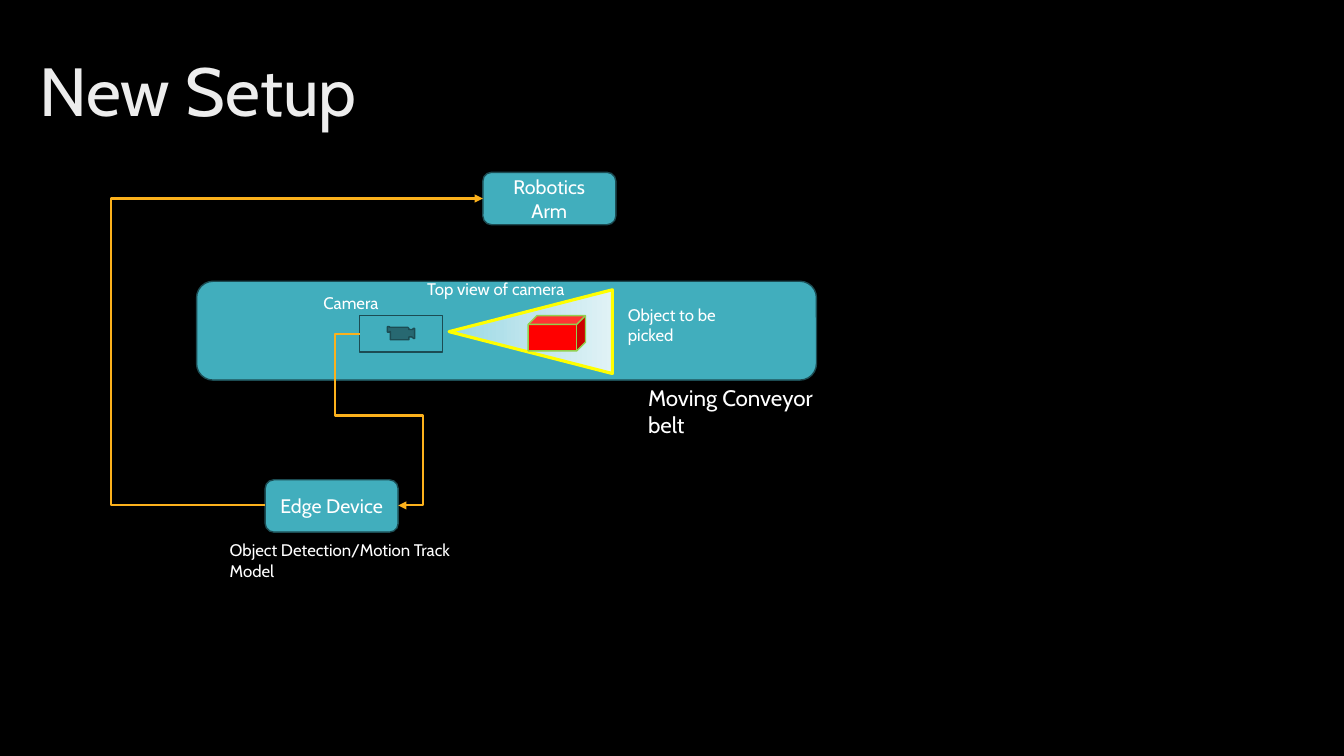
from pptx import Presentation
from pptx.dml.color import RGBColor
from pptx.enum.shapes import MSO_CONNECTOR, MSO_SHAPE as SHAPE
from pptx.enum.text import MSO_ANCHOR as ANCHOR, MSO_AUTO_SIZE as AUTO, PP_ALIGN as ALIGN
from pptx.oxml.ns import qn
from pptx.util import Pt
from lxml.etree import SubElement

BLACK = RGBColor(0x00, 0x00, 0x00)
WHITE = RGBColor(0xFF, 0xFF, 0xFF)
TEAL = RGBColor(0x41, 0xAE, 0xBD)
DARK_TEAL = RGBColor(0x1C, 0x4C, 0x53)
RED = RGBColor(0xFF, 0x00, 0x00)
GREEN = RGBColor(0x92, 0xD0, 0x50)
YELLOW = RGBColor(0xFF, 0xFF, 0x00)
ORANGE = RGBColor(0xFC, 0xB1, 0x1C)
SILVER = RGBColor(0xBF, 0xBF, 0xBF)
PALE_GREY = RGBColor(0xED, 0xED, 0xED)
BEAM_DARK = RGBColor(0x96, 0xD8, 0xE5)
BEAM_MID = RGBColor(0xC0, 0xE5, 0xED)
BEAM_LIGHT = RGBColor(0xE0, 0xF2, 0xF6)


def set_gradient(fill, parent, stops, angle):
    """Fill with (percent, colour) stops; angle runs clockwise in degrees."""
    fill.gradient()
    fill.gradient_angle = 360 - angle
    gs_list = parent.find(qn("a:gradFill")).find(qn("a:gsLst"))
    for gs in list(gs_list):
        gs_list.remove(gs)
    for percent, color in stops:
        gs = SubElement(gs_list, qn("a:gs"), pos=str(percent * 1000))
        SubElement(gs, qn("a:srgbClr"), val=str(color))


class Diagram:
    font = "Cabin"

    def __init__(self, slide):
        self.slide = slide
        fill = slide.background.fill
        fill.solid()
        fill.fore_color.rgb = BLACK

    def set_text(self, tf, text, size):
        tf.text = text
        p = tf.paragraphs[0]
        r = p.runs[0]
        r.font.name = self.font
        r.font.size = Pt(size)
        r.font.color.rgb = WHITE
        return p, r

    def title(self, text, x, y, w, h):
        tf = self.slide.shapes.add_textbox(Pt(x), Pt(y), Pt(w), Pt(h)).text_frame
        tf.word_wrap = True
        tf.vertical_anchor = ANCHOR.MIDDLE
        p, r = self.set_text(tf, text, 48.6)
        p.line_spacing = 0.9
        stops = [(0, SILVER), (28, PALE_GREY), (100, WHITE)]
        set_gradient(r.font.fill, r._r.rPr, stops, 80)

    def label(self, text, x, y, w, size=12, wrap=False):
        tf = self.slide.shapes.add_textbox(Pt(x), Pt(y), Pt(w), Pt(21.6)).text_frame
        tf.word_wrap = wrap
        tf.auto_size = AUTO.SHAPE_TO_FIT_TEXT
        self.set_text(tf, text, size)

    def shape(self, kind, x, y, w, h, fill=TEAL, line=DARK_TEAL, weight=1):
        sp = self.slide.shapes.add_shape(kind, Pt(x), Pt(y), Pt(w), Pt(h))
        sp.shadow.inherit = False
        sp.fill.solid()
        sp.fill.fore_color.rgb = fill
        sp.line.color.rgb = line
        sp.line.width = Pt(weight)
        return sp

    def box(self, text, x, y):
        sp = self.shape(SHAPE.ROUNDED_RECTANGLE, x, y, 95, 37.4)
        tf = sp.text_frame
        tf.word_wrap = True
        tf.vertical_anchor = ANCHOR.MIDDLE
        p, _ = self.set_text(tf, text, 14)
        p.alignment = ALIGN.CENTER

    def beam(self, x, y, w, h):
        """Camera's field of view, its apex pointing left."""
        sp = self.shape(SHAPE.ISOSCELES_TRIANGLE, x, y, w, h, line=YELLOW, weight=2.25)
        sp.rotation = 270
        stops = [(0, BEAM_DARK), (50, BEAM_MID), (100, BEAM_LIGHT)]
        set_gradient(sp.fill, sp._element.spPr, stops, 90)

    def elbow(self, start, end, bends):
        """Bent arrow; bends are the positions of its middle segments in percent."""
        cn = self.slide.shapes.add_connector(
            MSO_CONNECTOR.ELBOW, *(Pt(v) for v in start + end))
        cn.line.color.rgb = ORANGE
        cn.line.width = Pt(1.5)
        sp_pr = cn._element.spPr
        SubElement(sp_pr.find(qn("a:ln")), qn("a:tailEnd"), type="triangle")
        SubElement(sp_pr, qn("a:effectLst"))
        geom = sp_pr.find(qn("a:prstGeom"))
        geom.set("prst", f"bentConnector{len(bends) + 2}")
        guides = geom.find(qn("a:avLst"))
        for i, bend in enumerate(bends, 1):
            SubElement(guides, qn("a:gd"), name=f"adj{i}", fmla=f"val {round(bend * 1000)}")


def main():
    prs = Presentation()
    prs.slide_width, prs.slide_height = Pt(960), Pt(540)
    d = Diagram(prs.slides.add_slide(prs.slide_layouts[6]))

    d.title("New Setup", 20.9, 42.5, 840, 49.7)

    d.shape(SHAPE.ROUNDED_RECTANGLE, 140.4, 200.9, 442.8, 70.6)
    d.beam(349.2, 178.6, 59.8, 116.6)
    d.label("Top view of camera", 298.1, 195.8, 113.8)
    d.shape(SHAPE.CUBE, 377.3, 225.4, 41, 25.2, RED, GREEN)
    d.shape(SHAPE.ACTION_BUTTON_MOVIE, 257, 225.4, 59, 25.9)
    d.label("Moving Conveyor belt", 455.8, 270.7, 158, 16, wrap=True)
    d.label("Object to be picked", 441.4, 213.8, 109, wrap=True)

    d.box("Edge Device", 189.4, 342.7)
    d.box("Robotics Arm", 344.9, 123.1)
    d.elbow((257, 238.3), (284.4, 361), (-64.9, 47.7, 164.9))
    d.elbow((189.4, 361), (344.9, 141.8), (-70.9,))

    d.label("Object Detection/Motion Track Model", 157, 382.3, 200, wrap=True)
    d.label("Camera", 223.9, 205.9, 54)

    prs.save("out.pptx")


if __name__ == "__main__":
    main()
